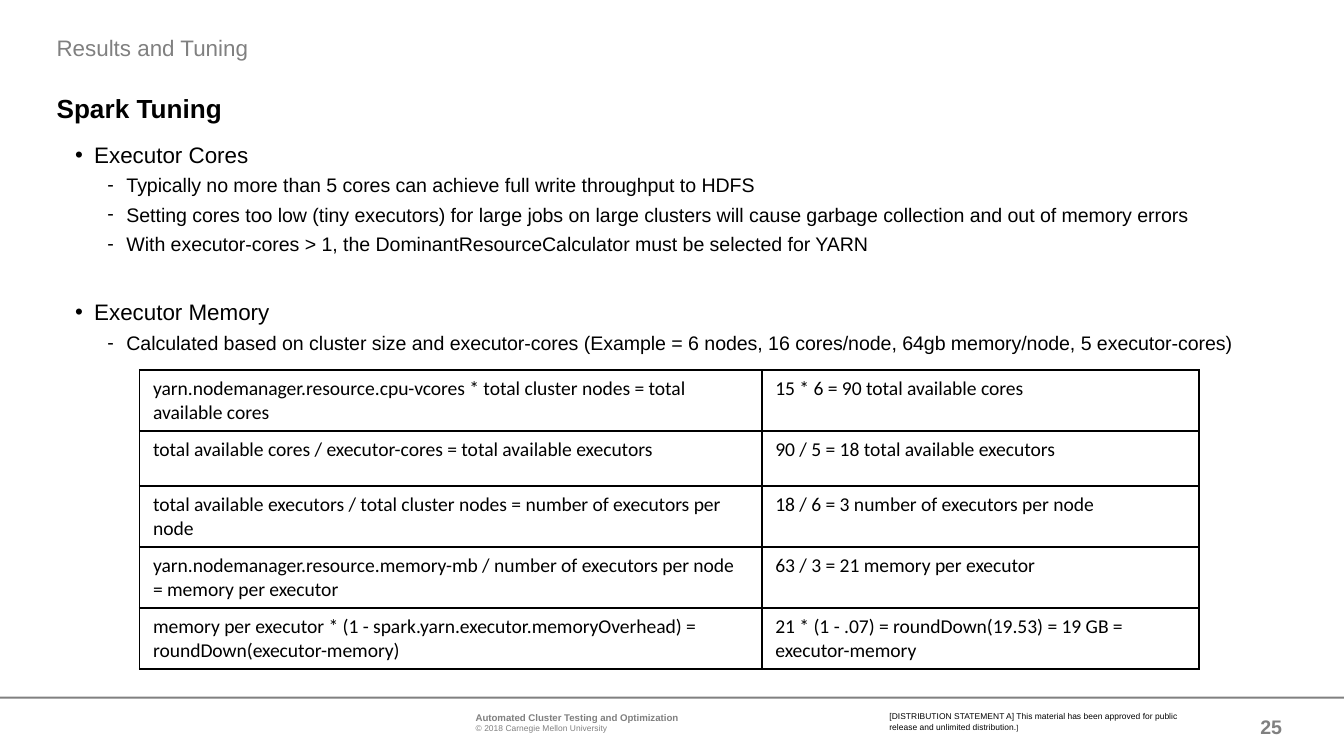
"""Build the Spark tuning slide with its executor calculation table."""
import lxml.etree
import pptx
import pptx.dml.color
import pptx.enum.shapes
import pptx.enum.text
import pptx.oxml.ns
import pptx.util

Cm = pptx.util.Cm
Pt = pptx.util.Pt
ANCHOR = pptx.enum.text.MSO_ANCHOR
ALIGN = pptx.enum.text.PP_ALIGN
BLACK, GRAY = "000000", "808080"

LEVELS = {
    0: {"size": 14, "bold": True, "before": 0, "after": 6, "bullet": None, "indent": 0},
    1: {"size": 12, "bold": False, "before": 3, "after": 0, "bullet": "•", "indent": 0.71},
    2: {"size": 10.5, "bold": False, "before": 3, "after": 0, "bullet": "-", "indent": 1.32},
}
HANGING = 0.36
SECTION_GAP = 20

OUTLINE = [
    (0, "Spark Tuning"),
    (1, "Executor Cores"),
    (2, "Typically no more than 5 cores can achieve full write throughput to HDFS"),
    (2, "Setting cores too low (tiny executors) for large jobs on large clusters "
        "will cause garbage collection and out of memory errors"),
    (2, "With executor-cores > 1, the DominantResourceCalculator must be selected for YARN"),
    (1, "Executor Memory"),
    (2, "Calculated based on cluster size and executor-cores "
        "(Example = 6 nodes, 16 cores/node, 64gb memory/node, 5 executor-cores)"),
]

CALCULATIONS = [
    ("yarn.nodemanager.resource.cpu-vcores * total cluster nodes = total available cores",
     "15 * 6 = 90 total available cores"),
    ("total available cores / executor-cores = total available executors",
     "90 / 5 = 18 total available executors"),
    ("total available executors / total cluster nodes = number of executors per node",
     "18 / 6 = 3 number of executors per node"),
    ("yarn.nodemanager.resource.memory-mb / number of executors per node = memory per executor",
     "63 / 3 = 21 memory per executor"),
    ("memory per executor * (1 - spark.yarn.executor.memoryOverhead) = roundDown(executor-memory)",
     "21 * (1 - .07) = roundDown(19.53) = 19 GB = executor-memory"),
]


def color(value):
    """Return the colour for a hex string."""
    return pptx.dml.color.RGBColor.from_string(value)


def apply_format(target, values):
    """Set each attribute named in values on the target."""
    for name, value in values.items():
        setattr(target, name, value)


def place(shape, left, top, width, height):
    """Move and size a shape, with lengths in centimetres."""
    apply_format(shape, {"left": Cm(left), "top": Cm(top),
                         "width": Cm(width), "height": Cm(height)})


def prepare_frame(shape, anchor):
    """Give a shape a wrapped text frame without insets and return it."""
    frame = shape.text_frame
    apply_format(frame, {
        "word_wrap": True, "auto_size": pptx.enum.text.MSO_AUTO_SIZE.NONE,
        "vertical_anchor": anchor, "margin_left": 0, "margin_right": 0,
        "margin_top": 0, "margin_bottom": 0,
    })
    return frame


def add_run(paragraph, text, size, fill=BLACK, bold=False, name="Arial"):
    """Add a formatted run to a paragraph."""
    run = paragraph.add_run()
    run.text = text
    apply_format(run.font, {"size": Pt(size), "bold": bold, "name": name})
    run.font.color.rgb = color(fill)


def next_paragraph(frame, index):
    """Return the first paragraph of a frame or a new one."""
    return frame.add_paragraph() if index else frame.paragraphs[0]


def set_bullet(paragraph, bullet, indent):
    """Set the bullet character and hanging indent of a paragraph."""
    properties = paragraph._p.get_or_add_pPr()
    properties.set("marL", str(Cm(indent)))
    properties.set("indent", str(-Cm(HANGING) if bullet else 0))
    tag = "a:buChar" if bullet else "a:buNone"
    element = lxml.etree.SubElement(properties, pptx.oxml.ns.qn(tag))
    if bullet:
        element.set("char", bullet)


def fill_title(title):
    """Place and fill the title placeholder."""
    place(title, 1.07, 0.58, 13.34, 0.58)
    paragraph = prepare_frame(title, ANCHOR.BOTTOM).paragraphs[0]
    apply_format(paragraph, {"alignment": ALIGN.LEFT, "line_spacing": 0.9})
    add_run(paragraph, "Results and Tuning", 12, GRAY)


def fill_outline(body):
    """Place and fill the body placeholder with the outline."""
    place(body, 1.07, 1.75, 23.19, 1)
    frame = prepare_frame(body, ANCHOR.TOP)
    for index, (level, text) in enumerate(OUTLINE):
        style = LEVELS[level]
        paragraph = next_paragraph(frame, index)
        starts_section = level == 1 and OUTLINE[index - 1][0] == 2
        before = style["before"] + (SECTION_GAP if starts_section else 0)
        set_bullet(paragraph, style["bullet"], style["indent"])
        apply_format(paragraph, {"level": level, "space_before": Pt(before),
                                 "space_after": Pt(style["after"]), "line_spacing": 1.0})
        add_run(paragraph, text, style["size"], bold=style["bold"])


def set_borders(cell):
    """Draw a thin black line on all sides of a cell."""
    properties = cell._tc.get_or_add_tcPr()
    for position, side in enumerate(("lnL", "lnR", "lnT", "lnB")):
        line = lxml.etree.Element(pptx.oxml.ns.qn(f"a:{side}"), w=str(Pt(1)))
        fill = lxml.etree.SubElement(line, pptx.oxml.ns.qn("a:solidFill"))
        lxml.etree.SubElement(fill, pptx.oxml.ns.qn("a:srgbClr"), val=BLACK)
        properties.insert(position, line)


def add_calculations(slide):
    """Add the table of executor calculations."""
    frame = slide.shapes.add_table(len(CALCULATIONS), 2, Cm(2.64), Cm(6.99), Cm(20.02), Cm(5.2))
    table = frame.table
    apply_format(table, {"first_row": False, "horz_banding": False})
    for column, width in zip(table.columns, (11.76, 8.26)):
        column.width = Cm(width)
    for row, texts in zip(table.rows, CALCULATIONS):
        row.height = Cm(1.04)
        for cell, text in zip(row.cells, texts):
            cell.fill.background()
            set_borders(cell)
            add_run(cell.text_frame.paragraphs[0], text, 10.5, name="Calibri")


def add_text(slide, position, lines, anchor=ANCHOR.TOP, alignment=ALIGN.LEFT):
    """Add a text box whose lines are lists of run arguments."""
    box = slide.shapes.add_textbox(0, 0, 0, 0)
    place(box, *position)
    frame = prepare_frame(box, anchor)
    for index, runs in enumerate(lines):
        paragraph = next_paragraph(frame, index)
        paragraph.alignment = alignment
        for run in runs:
            add_run(paragraph, *run)


def add_footer(slide):
    """Add the footer rule, its texts and the page number."""
    rule = slide.shapes.add_shape(pptx.enum.shapes.MSO_SHAPE.RECTANGLE, 0, 0, 0, 0)
    place(rule, 0, 13.16, 25.4, 0.04)
    rule.shadow.inherit = False
    rule.fill.solid()
    rule.fill.fore_color.rgb = color(GRAY)
    rule.line.fill.background()
    add_text(slide, (8.99, 13.44, 7.42, 0.41), [
        [("Automated Cluster Testing and Optimization", 5.2, GRAY, True)],
        [("© 2018 Carnegie Mellon University", 4.5, GRAY)],
    ])
    add_text(slide, (16.81, 13.44, 5.82, 0.38), [[
        ("[DISTRIBUTION STATEMENT A] This material has been approved for public "
         "release and unlimited distribution.", 4.5),
        ("]", 3.8),
    ]])
    add_text(slide, (23.11, 13.34, 1.12, 0.76), [[("25", 10.5, GRAY, True)]],
             ANCHOR.MIDDLE, ALIGN.RIGHT)


def main():
    """Build and save the presentation."""
    presentation = pptx.Presentation()
    apply_format(presentation, {"slide_width": Cm(25.4), "slide_height": Cm(14.28)})
    slide = presentation.slides.add_slide(presentation.slide_layouts[1])
    add_footer(slide)
    fill_title(slide.shapes.title)
    fill_outline(slide.placeholders[1])
    add_calculations(slide)
    presentation.save("out.pptx")


if __name__ == "__main__":
    main()
